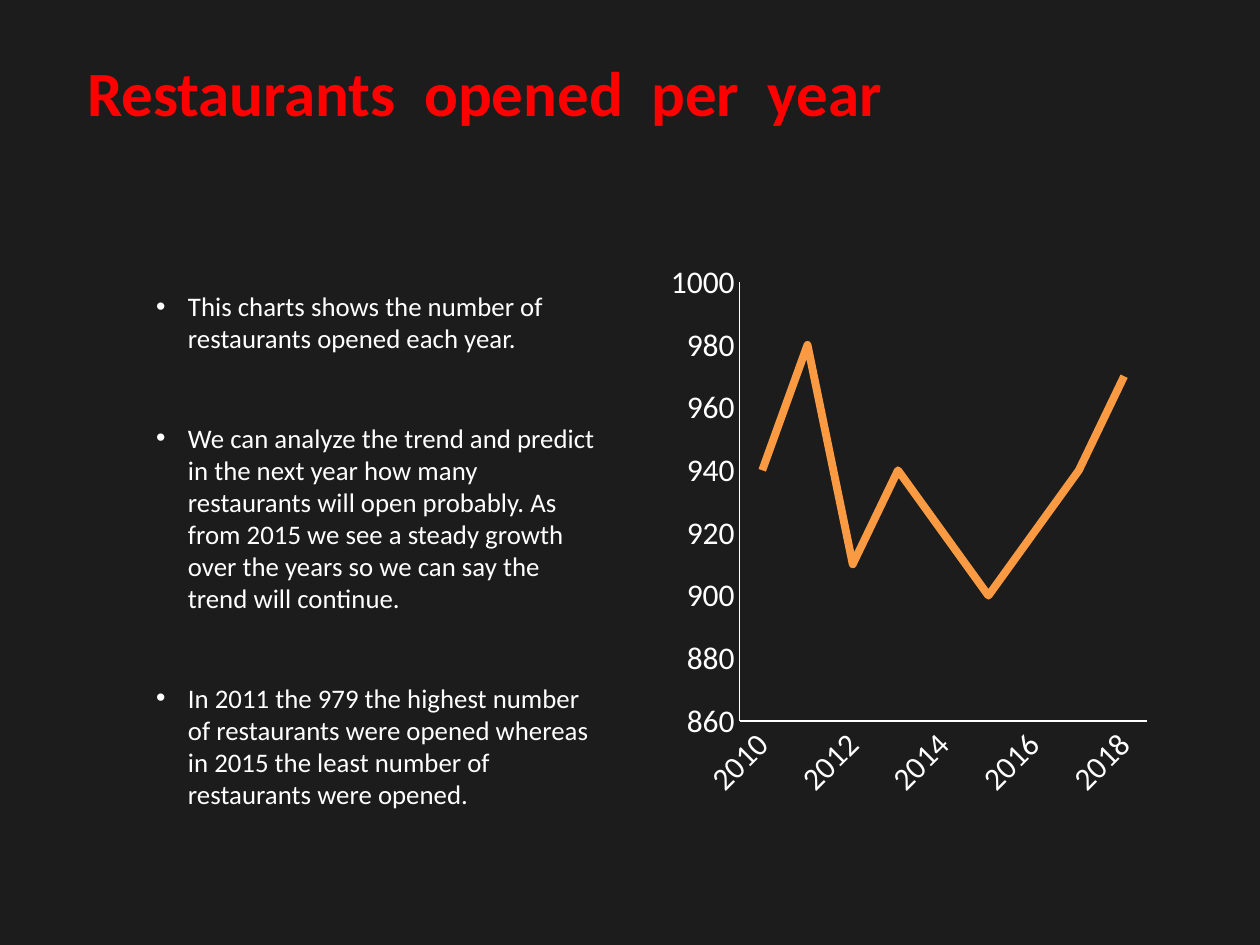
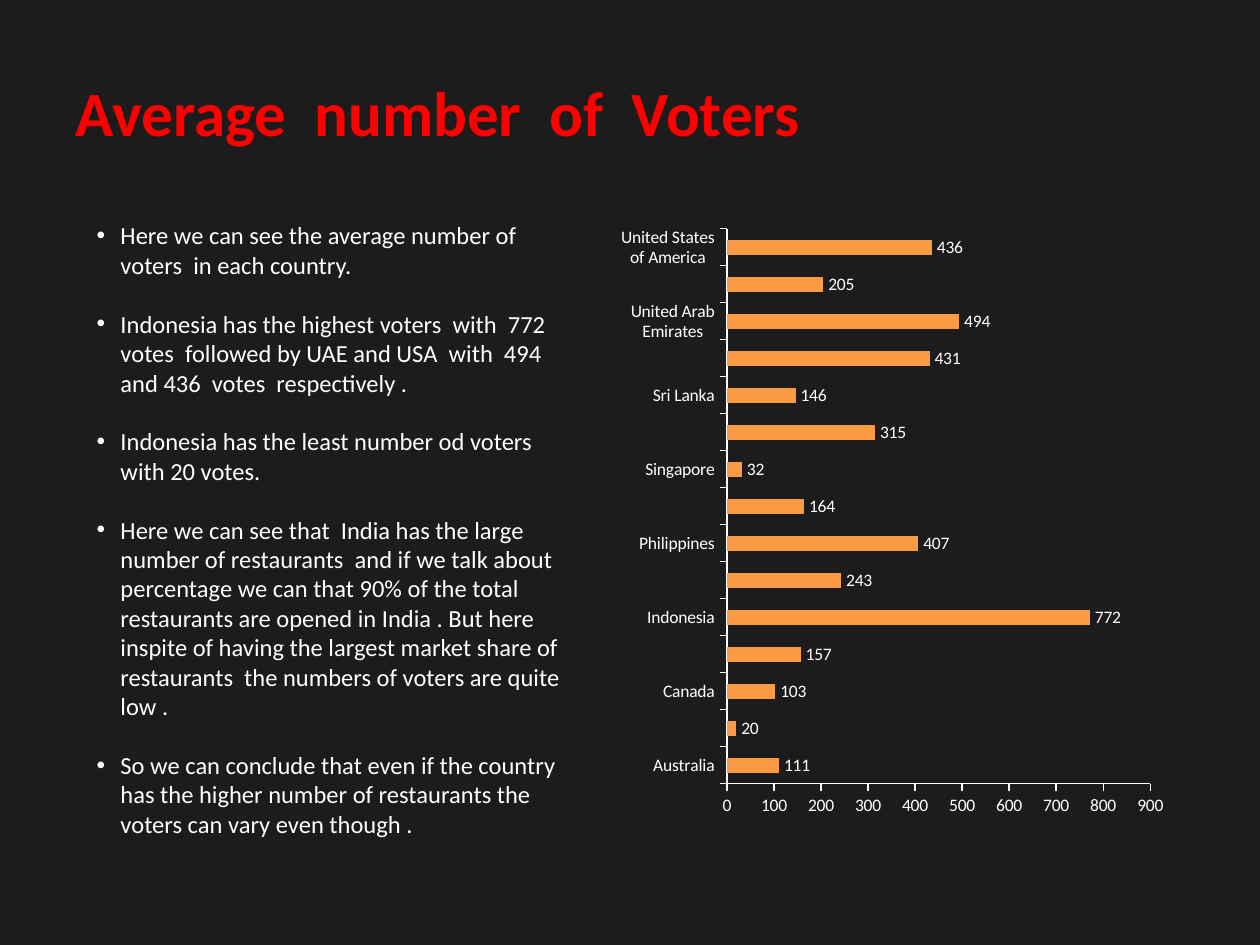
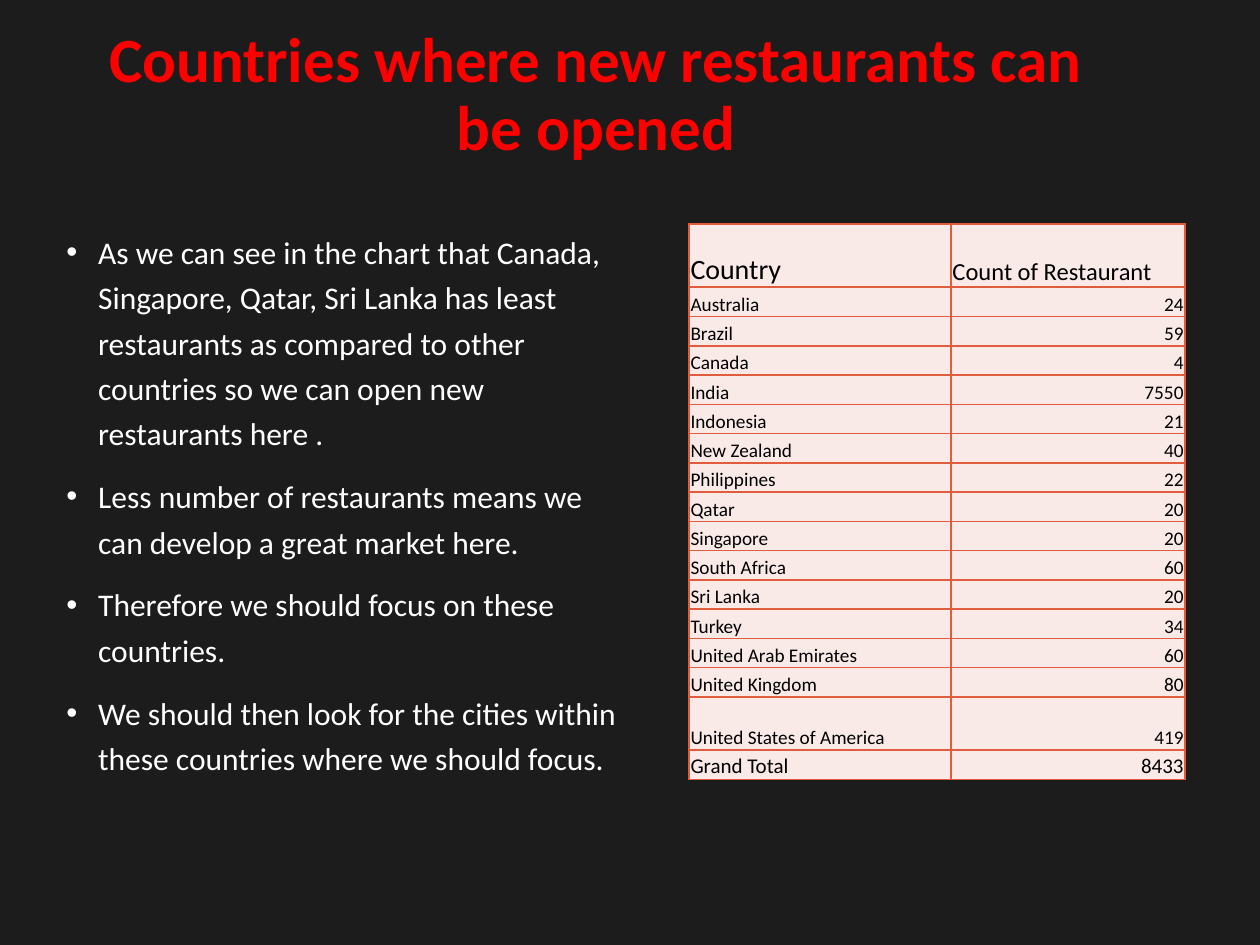
import lxml.etree
import pptx
import pptx.chart.data
import pptx.dml.color
import pptx.enum.chart
import pptx.enum.text
import pptx.oxml.ns
import pptx.util

Cm = pptx.util.Cm
Pt = pptx.util.Pt
qn = pptx.oxml.ns.qn
Align = pptx.enum.text.PP_ALIGN
Tick = pptx.enum.chart.XL_TICK_MARK

FONT = "Calibri"
BACKGROUND, TITLE, TEXT, ACCENT = "1C1C1C", "FF0000", "FFFFFF", "FA9A42"
CELL_FILL, CELL_BORDER, CELL_TEXT = "F9EAE8", "E15C3D", "000000"

OPENED_TEXT = [
    "This charts shows the number of restaurants opened each year.",
    "We can analyze the trend and predict in the next year how many restaurants will open probably. "
    "As from 2015 we see a steady growth over the years so we can say the trend will continue.",
    "In 2011 the 979 the highest number of restaurants were opened whereas in 2015 the least number "
    "of restaurants were opened.",
]
OPENED = {
    "2010": 940, "2011": 980, "2012": 910, "2013": 940, "2014": 920,
    "2015": 900, "2016": 920, "2017": 940, "2018": 970,
}

VOTERS_TEXT = [
    "Here we can see the average number of voters  in each country.",
    "Indonesia has the highest voters  with  772 votes  followed by UAE and USA  with  494 and 436  "
    "votes  respectively .",
    "Indonesia has the least number od voters with 20 votes.",
    "Here we can see that  India has the large number of restaurants  and if we talk about percentage "
    "we can that 90% of the total restaurants are opened in India . But here inspite of having the "
    "largest market share of restaurants  the numbers of voters are quite low .",
    "So we can conclude that even if the country has the higher number of restaurants the voters can "
    "vary even though .",
]
VOTERS = {
    "Australia": 111, "Brazil": 20, "Canada": 103, "India": 157, "Indonesia": 772,
    "New Zealand": 243, "Philippines": 407, "Qatar": 164, "Singapore": 32,
    "South Africa": 315, "Sri Lanka": 146, "Turkey": 431, "United Arab Emirates": 494,
    "United Kingdom": 205, "United States of America": 436,
}

COUNTRIES_TEXT = [
    "As we can see in the chart that Canada, Singapore, Qatar, Sri Lanka has least restaurants as "
    "compared to other countries so we can open new restaurants here .",
    "Less number of restaurants means we can develop a great market here.",
    "Therefore we should focus on these countries.",
    "We should then look for the cities within these countries where we should focus.",
]
RESTAURANTS = [
    ("Country", "Count of Restaurant"),
    ("Australia", "24"), ("Brazil", "59"), ("Canada", "4"), ("India", "7550"),
    ("Indonesia", "21"), ("New Zealand", "40"), ("Philippines", "22"), ("Qatar", "20"),
    ("Singapore", "20"), ("South Africa", "60"), ("Sri Lanka", "20"), ("Turkey", "34"),
    ("United Arab Emirates", "60"), ("United Kingdom", "80"),
    ("United States of America", "419"), ("Grand Total", "8433"),
]
COLUMN_WIDTHS = (5.28, 4.72)
ROW_HEIGHT = 0.59
TALL_ROWS = {"Country": 1.27, "United States of America": 1.07}
CELL_SIZES = {"Country": 16, "Count of Restaurant": 14, "Grand Total": 12, "8433": 12}


def color(value):
    return pptx.dml.color.RGBColor.from_string(value)


def paint(fill, value):
    fill.solid()
    fill.fore_color.rgb = color(value)


def style_font(font, size, value, bold=False):
    font.name, font.size, font.bold = FONT, Pt(size), bold
    font.color.rgb = color(value)


def add_span(para, text, size, value, bold=False):
    span = para.add_run()
    span.text = text
    style_font(span.font, size, value, bold)


def add_page(deck, title, place, align=Align.LEFT):
    page = deck.slides.add_slide(deck.slide_layouts[5])
    box = page.shapes.title
    box.left, box.top, box.width, box.height = map(Cm, place)
    frame = box.text_frame
    frame.word_wrap = True
    frame.auto_size = pptx.enum.text.MSO_AUTO_SIZE.NONE
    frame.vertical_anchor = pptx.enum.text.MSO_ANCHOR.TOP
    para = frame.paragraphs[0]
    para.alignment, para.line_spacing = align, 0.9
    add_span(para, title, 36, TITLE, True)
    return page


def add_bullets(page, texts, place, size, gap, indent, line_spacing=1.0):
    frame = page.shapes.add_textbox(*map(Cm, place)).text_frame
    frame.word_wrap = True
    for index, text in enumerate(texts):
        para = frame.add_paragraph() if index else frame.paragraphs[0]
        para.line_spacing = line_spacing
        para.space_before = Pt(gap if index else 0)
        add_span(para, text, size, TEXT)
        settings = para._p.get_or_add_pPr()
        settings.set("marL", str(Cm(indent)))
        settings.set("indent", str(-Cm(indent)))
        lxml.etree.SubElement(settings, qn("a:buFont"), typeface="Arial")
        lxml.etree.SubElement(settings, qn("a:buChar"), char="•")


def set_plot_area(chart, area):
    plot_area = chart.element.find(".//" + qn("c:plotArea"))
    for old in plot_area.findall(qn("c:layout")):
        plot_area.remove(old)
    layout = lxml.etree.Element(qn("c:layout"))
    manual = lxml.etree.SubElement(layout, qn("c:manualLayout"))
    settings = [("layoutTarget", "inner"), ("xMode", "edge"), ("yMode", "edge")]
    for name, value in settings + list(zip("xywh", area)):
        lxml.etree.SubElement(manual, qn("c:" + name), val=str(value))
    plot_area.insert(0, layout)


def add_chart(page, kind, values, place, area, size, tick):
    data = pptx.chart.data.CategoryChartData(number_format="0")
    data.categories = list(values)
    data.add_series("Series 1", list(values.values()))
    chart = page.shapes.add_chart(kind, *map(Cm, place), data).chart
    chart.has_legend = chart.has_title = False
    style_font(chart.font, size, TEXT)
    for axis in (chart.category_axis, chart.value_axis):
        axis.has_major_gridlines = False
        axis.major_tick_mark, axis.minor_tick_mark = tick, Tick.NONE
        axis.format.line.color.rgb = color(TEXT)
        axis.format.line.width = Pt(0.75)
    chart.plots[0].vary_by_categories = False
    set_plot_area(chart, area)
    return chart


def add_opened_chart(page):
    chart = add_chart(page, pptx.enum.chart.XL_CHART_TYPE.LINE, OPENED,
                      (13.31, 5.13, 10.01, 11.2), (0.16, 0.05, 0.82, 0.79), 18, Tick.NONE)
    axis = chart.value_axis
    axis.minimum_scale, axis.maximum_scale, axis.major_unit = 860, 1000, 20
    style_font(chart.category_axis.tick_labels.font, 18, TEXT)
    labels = chart.category_axis._element.find(qn("c:txPr"))
    labels.find(qn("a:bodyPr")).set("rot", "-2700000")
    series = chart.plots[0].series[0]
    series.smooth = False
    series.marker.style = pptx.enum.chart.XL_MARKER_STYLE.NONE
    series.format.line.color.rgb = color(ACCENT)
    series.format.line.width = Pt(4.5)


def add_voters_chart(page):
    chart = add_chart(page, pptx.enum.chart.XL_CHART_TYPE.BAR_CLUSTERED, VOTERS,
                      (12.52, 4.11, 11.23, 12.57), (0.19, 0.04, 0.76, 0.89), 10, Tick.OUTSIDE)
    axis = chart.value_axis
    axis.minimum_scale, axis.maximum_scale, axis.major_unit = 0, 900, 100
    plot = chart.plots[0]
    plot.gap_width = 150
    paint(plot.series[0].format.fill, ACCENT)
    plot.has_data_labels = True
    labels = plot.data_labels
    labels.show_value = True
    labels.position = pptx.enum.chart.XL_LABEL_POSITION.OUTSIDE_END
    labels.number_format, labels.number_format_is_linked = "0", False
    style_font(labels.font, 10, TEXT)


def add_borders(cell):
    settings = cell._tc.get_or_add_tcPr()
    for index, side in enumerate(("lnL", "lnR", "lnT", "lnB")):
        line = lxml.etree.Element(qn("a:" + side), w=str(Pt(1)))
        fill = lxml.etree.SubElement(line, qn("a:solidFill"))
        lxml.etree.SubElement(fill, qn("a:srgbClr"), val=CELL_BORDER)
        settings.insert(index, line)


def add_restaurant_table(page):
    heights = [TALL_ROWS.get(row[0], ROW_HEIGHT) for row in RESTAURANTS]
    place = (13.89, 4.52, sum(COLUMN_WIDTHS), sum(heights))
    table = page.shapes.add_table(len(RESTAURANTS), 2, *map(Cm, place)).table
    table.first_row = table.horz_banding = False
    for column, width in zip(table.columns, COLUMN_WIDTHS):
        column.width = Cm(width)
    for row, height, texts in zip(table.rows, heights, RESTAURANTS):
        row.height = Cm(height)
        for cell, text in zip(row.cells, texts):
            cell.margin_left = cell.margin_right = cell.margin_top = Cm(0.03)
            cell.margin_bottom = 0
            cell.vertical_anchor = pptx.enum.text.MSO_ANCHOR.BOTTOM
            paint(cell.fill, CELL_FILL)
            add_borders(cell)
            para = cell.text_frame.paragraphs[0]
            para.alignment = Align.RIGHT if text.isdigit() else Align.LEFT
            add_span(para, text, CELL_SIZES.get(text, 11), CELL_TEXT)


def main():
    deck = pptx.Presentation()
    deck.slide_width, deck.slide_height = Cm(25.4), Cm(19.05)
    paint(deck.slide_master.background.fill, BACKGROUND)

    page = add_page(deck, "Restaurants  opened  per  year", (1.5, 1.12, 21.59, 3.2))
    add_bullets(page, OPENED_TEXT, (2.9, 5.72, 9.5, 10.8), 15.3, 38.4, 0.64)
    add_opened_chart(page)

    page = add_page(deck, "Average  number  of  Voters", (1.27, 1.52, 22.38, 3.15))
    add_voters_chart(page)
    add_bullets(page, VOTERS_TEXT, (1.7, 4.32, 10.01, 13.41), 14, 16.8, 0.48)

    page = add_page(deck, "Countries where new restaurants can be opened",
                    (1.27, 0.43, 21.49, 3.81), Align.CENTER)
    add_bullets(page, COUNTRIES_TEXT, (1.09, 4.42, 11.61, 13.41), 18, 10, 0.64, 1.2)
    add_restaurant_table(page)

    deck.save("out.pptx")


if __name__ == "__main__":
    main()
